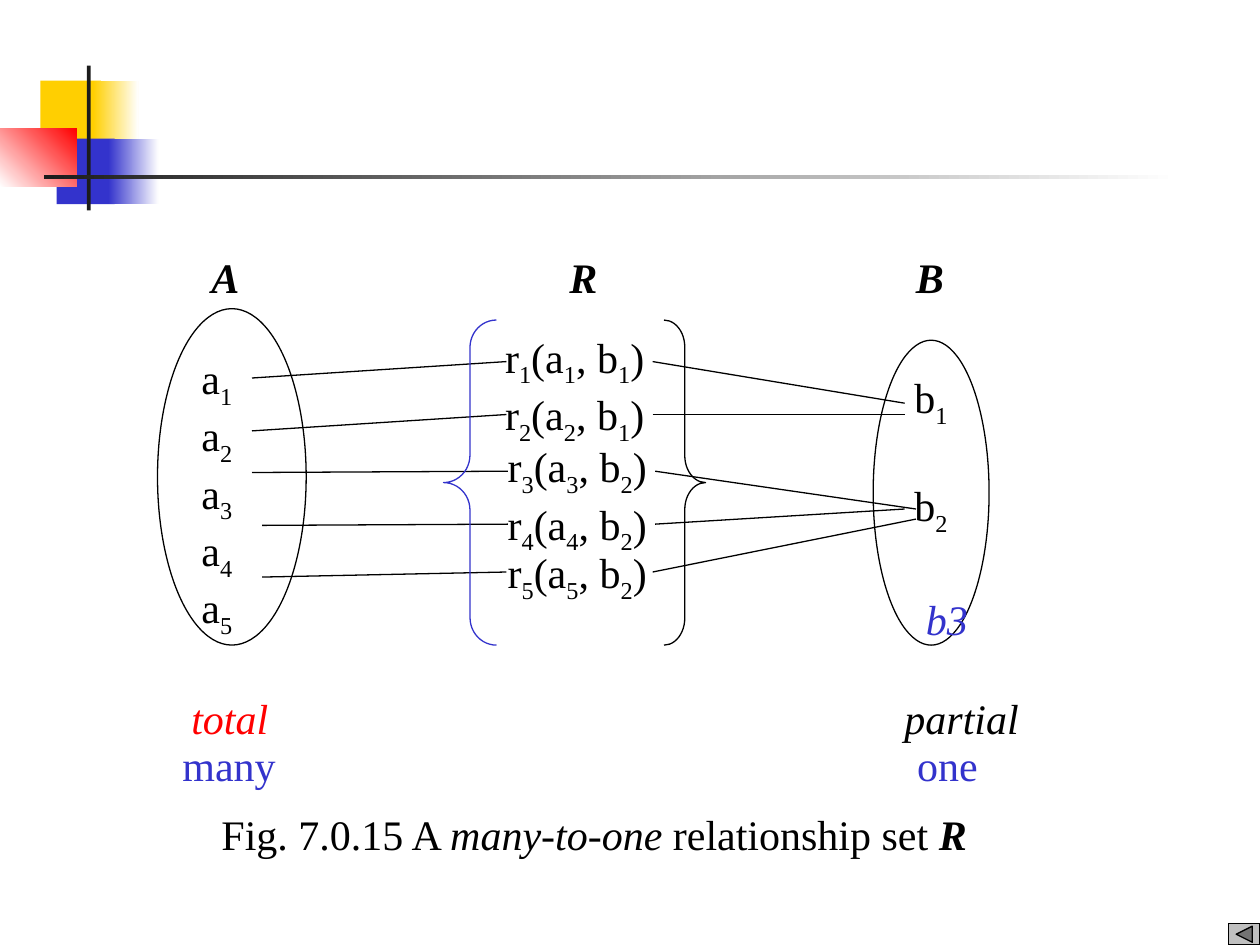
from lxml import etree
from pptx import Presentation
from pptx.dml.color import RGBColor
from pptx.enum.shapes import MSO_CONNECTOR, MSO_SHAPE
from pptx.oxml.ns import qn
from pptx.util import Inches, Pt

RECT = MSO_SHAPE.RECTANGLE
OVAL = MSO_SHAPE.OVAL
LEFT_BRACE = MSO_SHAPE.LEFT_BRACE
RIGHT_BRACE = MSO_SHAPE.RIGHT_BRACE
BACK_BUTTON = MSO_SHAPE.ACTION_BUTTON_BACK_OR_PREVIOUS
STRAIGHT = MSO_CONNECTOR.STRAIGHT

COLORS = {name: RGBColor.from_string(value) for name, value in {
    "black": "000000", "white": "FFFFFF", "blue": "3333CC", "red": "FF0000",
    "yellow": "FFCF01", "ink": "1C1C1C", "grey": "C0C0C0",
}.items()}

prs = Presentation()
prs.slide_width, prs.slide_height = Inches(10), Inches(7.5)
slide = prs.slides.add_slide(prs.slide_layouts[6])


def add_figure(kind, box, fill=None, line=None, fade_to=None, angle=0):
    figure = slide.shapes.add_shape(kind, *[Inches(v) for v in box])
    figure.shadow.inherit = False
    if fade_to:
        figure.fill.gradient()
        figure.fill.gradient_angle = angle
        for stop, color, position in zip(figure.fill.gradient_stops, (fill, fade_to), (0, 1)):
            stop.color.rgb = COLORS[color]
            stop.position = position
    elif fill:
        figure.fill.solid()
        figure.fill.fore_color.rgb = COLORS[fill]
    else:
        figure.fill.background()
    if line:
        figure.line.color.rgb = COLORS[line]
        figure.line.width = Pt(0.75)
    else:
        figure.line.fill.background()
    return figure


def add_label(box, lines, color="black", bold=False, italic=False, gap=0):
    """Write lines of runs; the character after an underscore is a subscript."""
    frame = slide.shapes.add_textbox(*[Inches(v) for v in box]).text_frame
    frame.word_wrap = False
    for index, line in enumerate(lines):
        paragraph = frame.paragraphs[0] if index == 0 else frame.add_paragraph()
        if "_" in line:
            paragraph.line_spacing = Pt(32.75)
        if index:
            paragraph.space_before = Pt(gap)
        first, *rest = line.split("_")
        pieces = [(first, False)]
        for part in rest:
            pieces += [(part[0], True), (part[1:], False)]
        for text, lowered in pieces:
            if not text:
                continue
            run = paragraph.add_run()
            run.text = text
            run.font.name, run.font.size = "Times New Roman", Pt(24)
            run.font.bold, run.font.italic = bold, italic
            run.font.color.rgb = COLORS[color]
            if lowered:
                run.font._element.set("baseline", "-25000")
    return frame


# Corner decoration and title rule
add_figure(RECT, (0.32, 0.64, 0.48, 0.52), "yellow")
add_figure(RECT, (0.74, 0.64, 0.36, 0.52), "yellow", fade_to="white")
add_figure(RECT, (0.45, 1.1, 0.46, 0.52), "blue")
add_figure(RECT, (0.86, 1.1, 0.4, 0.52), "blue", fade_to="white")
add_figure(RECT, (0, 1.02, 0.61, 0.46), "white", fade_to="red", angle=45)
add_figure(RECT, (0.69, 0.52, 0.03, 1.15), "ink")
add_figure(RECT, (0.35, 1.39, 9, 0.03), "ink", fade_to="white")

# Entity sets A and B
add_figure(OVAL, (1.25, 2.45, 1.18, 2.67), "white", "black")
add_label((1.5, 2.75, 0.46, 2.1), [f"a_{n}" for n in range(1, 6)])
add_figure(OVAL, (6.93, 2.7, 0.92, 2.42), "white", "black")
add_label((7.16, 2.9, 0.54, 1.4), ["b_1", "b_2"], gap=29)
add_label((7.25, 4.66, 0.54, 0.5), ["b3"], "blue", italic=True)

# Set headings
for name, left in (("A", 1.58), ("R", 4.42), ("B", 7.17)):
    add_label((left, 1.95, 0.42, 0.5), [name], bold=True, italic=True)

# Relationships, with the b that each a is mapped to
pairs = [f"r_{a}(a_{a}, b_{b})" for a, b in enumerate((1, 1, 2, 2, 2), 1)]
add_label((3.91, 2.58, 1.35, 0.9), pairs[:2])
add_label((3.93, 3.45, 1.35, 0.9), pairs[2:4])
add_label((3.93, 4.29, 1.35, 0.5), pairs[4:])

# Links from A to R and from R to B
links = [
    (2, 3, 4.02, 2.87), (2, 3.42, 4.02, 3.29), (2, 3.75, 4.03, 3.74),
    (2.08, 4.17, 4.03, 4.16), (2.08, 4.58, 4.02, 4.54),
    (5.18, 2.87, 7.18, 3.2), (5.18, 3.29, 7.18, 3.29), (5.2, 3.74, 7.27, 4.04),
    (5.2, 4.16, 7.18, 4.04), (5.18, 4.54, 7.27, 4.12),
]
for ends in links:
    link = slide.shapes.add_connector(STRAIGHT, *[Inches(v) for v in ends])
    link.line.color.rgb = COLORS["black"]
    link.line.width = Pt(0.75)
    etree.SubElement(link._element.spPr, qn("a:effectLst"))

# Braces around the relationship set
left_brace = add_figure(LEFT_BRACE, (3.52, 2.54, 0.42, 2.58), line="blue")
left_brace.adjustments[0] = 0.52
right_brace = add_figure(RIGHT_BRACE, (5.27, 2.54, 0.33, 2.58), line="black")
right_brace.adjustments[0] = 0.65

# Participation and cardinality
add_label((1.42, 5.45, 0.81, 0.5), ["total"], "red", italic=True)
add_label((7.08, 5.45, 1.11, 0.5), ["partial"], italic=True)
add_label((1.35, 5.82, 0.94, 0.5), ["many"], "blue")
add_label((7.18, 5.82, 0.68, 0.5), ["one"], "blue")

# Caption
caption = add_label((1.66, 6.37, 6.26, 0.5), ["Fig. 7.0.15 A "]).paragraphs[0]
for text, bold, italic in (("many-to-one ", False, True),
                           ("relationship set ", False, False), ("R", True, True)):
    run = caption.add_run()
    run.text = text
    run.font.name, run.font.size = "Times New Roman", Pt(24)
    run.font.bold, run.font.italic = bold, italic
    run.font.color.rgb = COLORS["black"]

# Back button
add_figure(BACK_BUTTON, (9.75, 7.33, 0.25, 0.17), "grey", "black")

prs.save("out.pptx")
